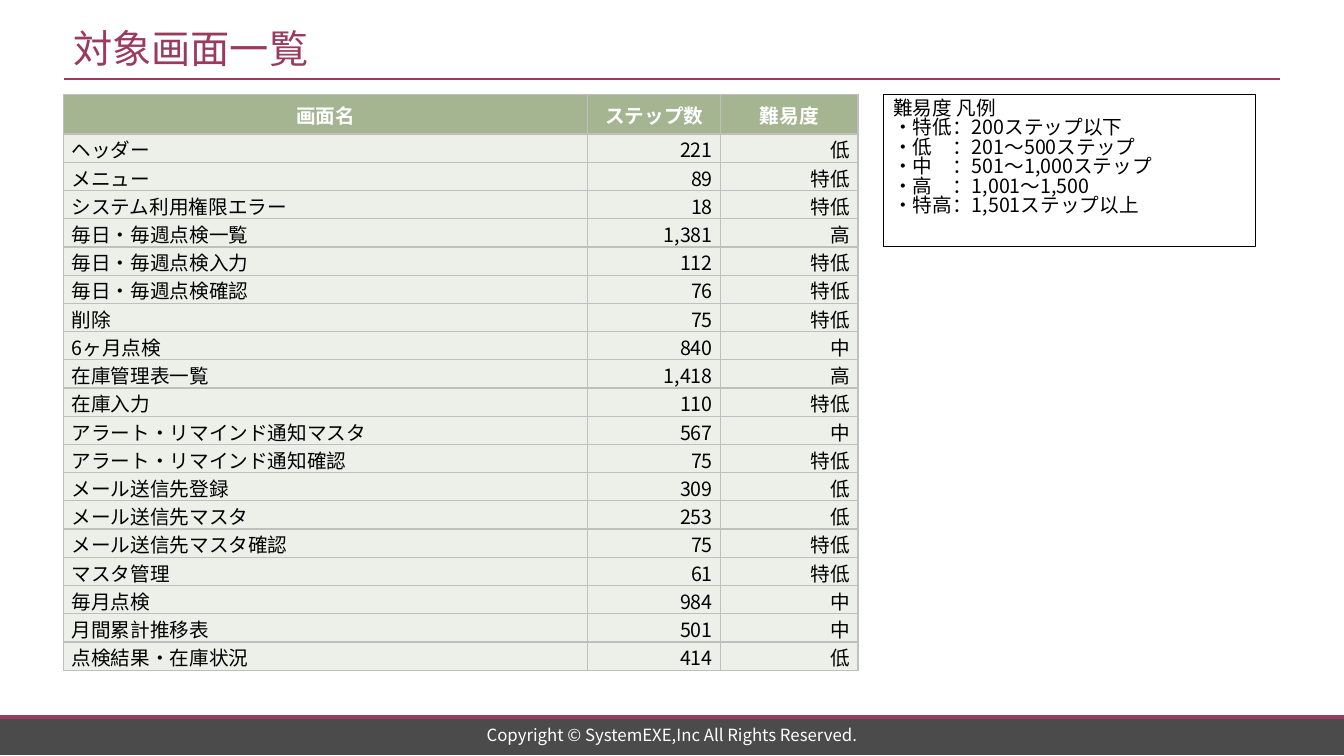
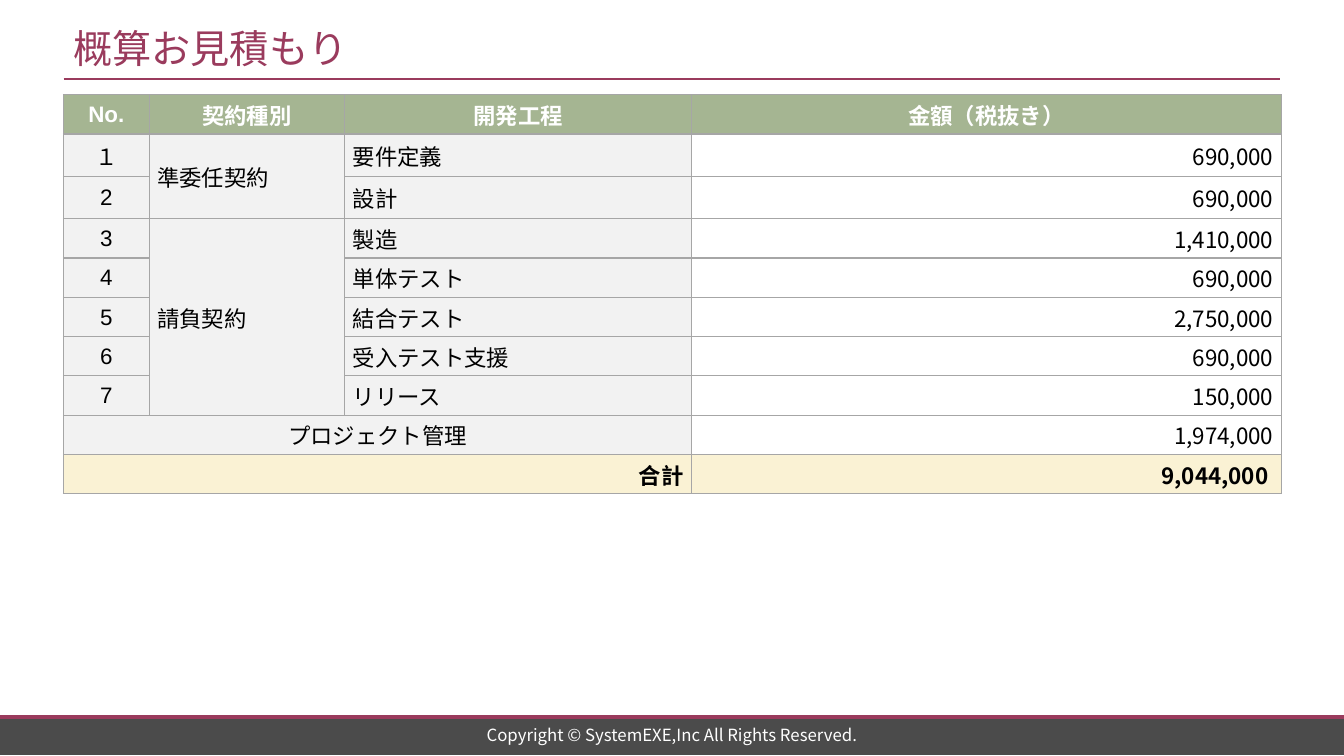
from lxml import etree
from pptx import Presentation
from pptx import util as u
from pptx.dml.color import RGBColor
from pptx.enum import shapes, text
from pptx.oxml import ns

JP, LATIN = "Noto Sans CJK JP", "Arial"
WINE, DARK, GREEN, PALE = "9A3B5D", "4B4B4B", "A5B592", "EDF0E9"
GREY, CREAM, WHITE, BLACK = "F2F2F2", "FAF2D4", "FFFFFF", "000000"
LEFT, CENTER, RIGHT = text.PP_ALIGN.LEFT, text.PP_ALIGN.CENTER, text.PP_ALIGN.RIGHT
MIDDLE = text.MSO_ANCHOR.MIDDLE
MARGIN, CONTENT_TOP, CONTENT_W, SLIDE_W = 0.63, 0.94, 12.07, 13.33

SCREENS = [
    ("ヘッダー", "221", "低"),
    ("メニュー", "89", "特低"),
    ("システム利用権限エラー", "18", "特低"),
    ("毎日・毎週点検一覧", "1,381", "高"),
    ("毎日・毎週点検入力", "112", "特低"),
    ("毎日・毎週点検確認", "76", "特低"),
    ("削除", "75", "特低"),
    ("6ヶ月点検", "840", "中"),
    ("在庫管理表一覧", "1,418", "高"),
    ("在庫入力", "110", "特低"),
    ("アラート・リマインド通知マスタ", "567", "中"),
    ("アラート・リマインド通知確認", "75", "特低"),
    ("メール送信先登録", "309", "低"),
    ("メール送信先マスタ", "253", "低"),
    ("メール送信先マスタ確認", "75", "特低"),
    ("マスタ管理", "61", "特低"),
    ("毎月点検", "984", "中"),
    ("月間累計推移表", "501", "中"),
    ("点検結果・在庫状況", "414", "低"),
]
LEGEND = [
    "難易度 凡例",
    "・特低：200ステップ以下",
    "・低　：201～500ステップ",
    "・中　：501～1,000ステップ",
    "・高　：1,001～1,500",
    "・特高：1,501ステップ以上",
]
PHASES = [
    ("１", "要件定義", "690,000"),
    ("2", "設計", "690,000"),
    ("3", "製造", "1,410,000"),
    ("4", "単体テスト", "690,000"),
    ("5", "結合テスト", "2,750,000"),
    ("6", "受入テスト支援", "690,000"),
    ("7", "リリース", "150,000"),
]


def rgb(value):
    return RGBColor.from_string(value)


def write(p, words, size, color, align=LEFT, bold=False, font=JP):
    p.alignment = align
    r = p.add_run()
    r.text = words
    r.font.size, r.font.bold, r.font.name = u.Pt(size), bold, font
    r.font.color.rgb = rgb(color)
    ea = etree.SubElement(r.font._element, ns.qn("a:ea"))
    ea.set("typeface", JP)


def add_rule(slide, x1, x2, y, width):
    line = slide.shapes.add_connector(
        shapes.MSO_CONNECTOR.STRAIGHT, *map(u.Inches, (x1, y, x2, y)))
    line.line.color.rgb = rgb(WINE)
    line.line.width = u.Pt(width)
    etree.SubElement(line._element.spPr, ns.qn("a:effectLst"))


def add_label(slide, box, words, size, color, align=LEFT):
    tf = slide.shapes.add_textbox(*map(u.Inches, box)).text_frame
    tf.word_wrap, tf.vertical_anchor = True, MIDDLE
    tf.margin_top = tf.margin_bottom = 0
    write(tf.paragraphs[0], words, size, color, align)


def add_frame(prs, title):
    slide = prs.slides.add_slide(prs.slide_layouts[6])
    band = slide.shapes.add_shape(
        shapes.MSO_SHAPE.RECTANGLE, *map(u.Inches, (0, 7.1, SLIDE_W, 0.39)))
    band.shadow.inherit = False
    band.fill.solid()
    band.fill.fore_color.rgb = rgb(DARK)
    band.line.fill.background()
    add_rule(slide, 0, SLIDE_W, 7.11, 2.75)
    add_rule(slide, MARGIN, MARGIN + CONTENT_W, 0.78, 1.5)
    add_label(slide, (MARGIN, 0.2, CONTENT_W, 0.55), title, 28, WINE)
    add_label(slide, (3.32, 7.17, 6.69, 0.24),
              "Copyright © SystemEXE,Inc All Rights Reserved.", 12, WHITE, CENTER)
    return slide


def add_grid(slide, left, top, cols, rows, border):
    table = slide.shapes.add_table(
        len(rows), len(cols),
        *map(u.Inches, (left, top, sum(cols), sum(rows)))).table
    table.first_row = table.horz_banding = False
    for column, width in zip(table.columns, cols):
        column.width = u.Inches(width)
    for row, height in zip(table.rows, rows):
        row.height = u.Inches(height)
    for cell in table.iter_cells():
        tcPr = cell._tc.get_or_add_tcPr()
        for side in ("lnL", "lnR", "lnT", "lnB"):
            ln = etree.SubElement(tcPr, ns.qn("a:" + side), w=str(u.Pt(1)))
            fill = etree.SubElement(ln, ns.qn("a:solidFill"))
            etree.SubElement(fill, ns.qn("a:srgbClr"), val=border)
    return table


def fill_cell(cell, words, size, fill, align=LEFT, color=BLACK, bold=False,
              font=JP, insets=(0.08, 0.01, 0.08, 0)):
    cell.fill.solid()
    cell.fill.fore_color.rgb = rgb(fill)
    cell.vertical_anchor = MIDDLE
    (cell.margin_left, cell.margin_top,
     cell.margin_right, cell.margin_bottom) = map(u.Inches, insets)
    write(cell.text_frame.paragraphs[0], words, size, color, align, bold, font)


def fill_header(table, names, size, font=JP):
    for c, name in enumerate(names):
        fill_cell(table.cell(0, c), name, size, GREEN, CENTER, WHITE, True, font)


def add_screen_table(slide, left, top):
    table = add_grid(slide, left, top, [5.2, 1.32, 1.36],
                     [0.39] + [0.28] * len(SCREENS), "BFBFBF")
    fill_header(table, ("画面名", "ステップ数", "難易度"), 14)
    for i, screen in enumerate(SCREENS, 1):
        for c, words in enumerate(screen):
            fill_cell(table.cell(i, c), words, 14, PALE, RIGHT if c else LEFT)


def add_legend(slide, box):
    sp = slide.shapes.add_shape(shapes.MSO_SHAPE.RECTANGLE, *map(u.Inches, box))
    sp.shadow.inherit = False
    sp.fill.background()
    sp.line.color.rgb = rgb(BLACK)
    sp.line.width = u.Pt(0.75)
    tf = sp.text_frame
    tf.word_wrap, tf.vertical_anchor = True, text.MSO_ANCHOR.TOP
    for i, words in enumerate(LEGEND):
        p = tf.add_paragraph() if i else tf.paragraphs[0]
        p.line_spacing = 0.83
        write(p, words, 14, BLACK)


def add_estimate_table(slide, left, top):
    table = add_grid(slide, left, top, [0.85, 1.94, 3.44, 5.85],
                     [0.39] + [0.42] * 2 + [0.39] * 7, "A6A6A6")
    fill_header(table, ("No.", "契約種別", "開発工程", "金額（税抜き）"), 16, LATIN)
    for i, (number, phase, amount) in enumerate(PHASES, 1):
        fill_cell(table.cell(i, 0), number, 16, GREY, CENTER, font=LATIN)
        fill_cell(table.cell(i, 2), phase, 16, GREY, font=LATIN)
        fill_cell(table.cell(i, 3), amount, 16, WHITE, RIGHT)
    for first, last, contract in ((1, 2, "準委任契約"), (3, 7, "請負契約")):
        table.cell(first, 1).merge(table.cell(last, 1))
        fill_cell(table.cell(first, 1), contract, 16, GREY, font=LATIN)
    for i in (8, 9):
        table.cell(i, 0).merge(table.cell(i, 2))
    fill_cell(table.cell(8, 0), "プロジェクト管理", 16, GREY, CENTER, font=LATIN)
    fill_cell(table.cell(8, 3), "1,974,000", 16, WHITE, RIGHT)
    fill_cell(table.cell(9, 0), "合計", 16, CREAM, RIGHT, bold=True, font=LATIN)
    fill_cell(table.cell(9, 3), "9,044,000", 16, CREAM, RIGHT, bold=True,
              insets=(0.01, 0.01, 0.13, 0))


def main():
    prs = Presentation()
    prs.slide_width, prs.slide_height = u.Inches(SLIDE_W), u.Inches(7.5)
    slide = add_frame(prs, "対象画面一覧")
    add_screen_table(slide, MARGIN, CONTENT_TOP)
    add_legend(slide, (8.76, CONTENT_TOP, 3.69, 1.51))
    slide = add_frame(prs, "概算お見積もり")
    add_estimate_table(slide, MARGIN, CONTENT_TOP)
    prs.save("out.pptx")


if __name__ == "__main__":
    main()
